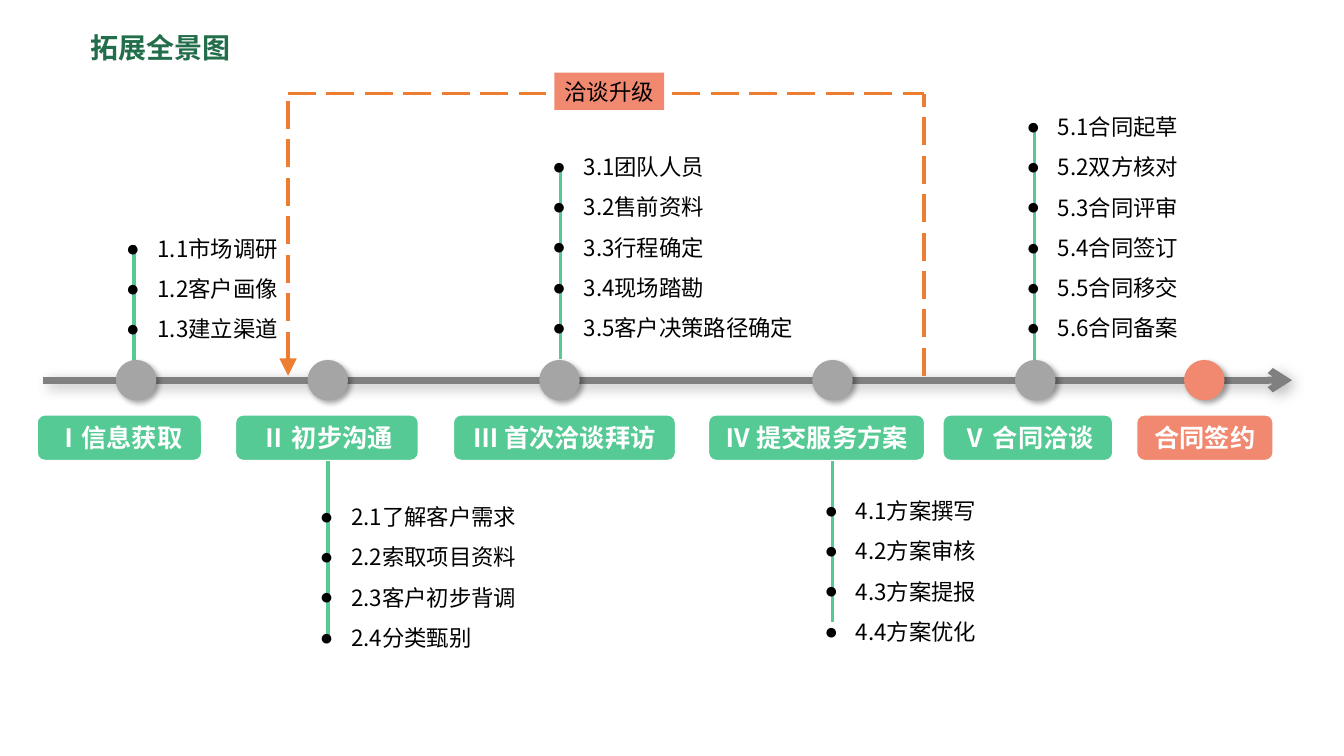
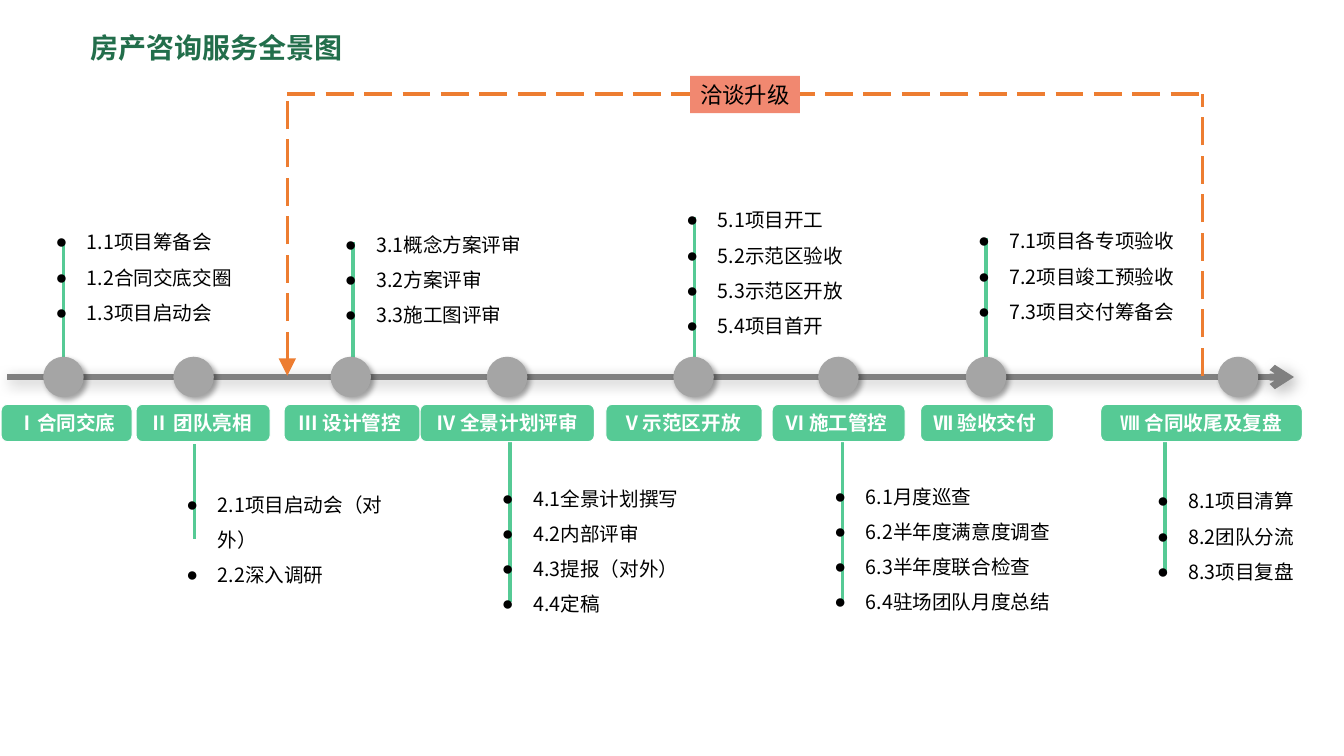
"""Build two process overview slides: a timeline with stages, step lists and an upgrade loop."""
import lxml.etree
import pptx
import pptx.dml.color
import pptx.enum.dml
import pptx.enum.shapes
import pptx.enum.text
import pptx.oxml.ns
import pptx.util

Cm = pptx.util.Cm
Pt = pptx.util.Pt
SHAPES = pptx.enum.shapes.MSO_SHAPE
ALIGN = pptx.enum.text.PP_ALIGN
ANCHOR = pptx.enum.text.MSO_ANCHOR

FONT = "Noto Sans CJK SC"
GREEN, DARK_GREEN, CORAL, ORANGE = "56CA95", "226E4B", "F18870", "ED7D31"
GREY, DARK_GREY, WHITE, BLACK = "A5A5A5", "808080", "FFFFFF", "000000"
NODE_SIZE = 1.02
LIST_OFFSET = 0.45
LIST_INDENT = 0.79
LINE_FACTOR = 0.064
BADGE_TEXT, BADGE_WIDTH, BADGE_HEIGHT = "洽谈升级", 2.77, 0.94

SLIDES = [
    {
        "title": "拓展全景图",
        "axis": (1.09, 32.56, 9.58),
        "stage_top": 10.46, "stage_height": 1.14, "stage_size": 18, "step_size": 16,
        "stages": [
            ("Ⅰ信息获取", 0.94, 4.14, 3.43, GREEN),
            ("Ⅱ 初步沟通", 5.94, 4.6, 8.26, GREEN),
            ("Ⅲ 首次洽谈拜访", 11.43, 5.59, 14.1, GREEN),
            ("Ⅳ 提交服务方案", 17.86, 5.44, 20.98, GREEN),
            ("Ⅴ 合同洽谈", 23.77, 4.27, 26.09, GREEN),
            ("合同签约", 28.65, 3.43, 30.35, CORAL),
        ],
        "steps": [
            (3.38, 6.17, 9.09, 5.46, 4.47, ["1.1市场调研", "1.2客户画像", "1.3建立渠道"]),
            (8.26, 11.58, 16.08, 12.22, 5.61,
             ["2.1了解客户需求", "2.2索取项目资料", "2.3客户初步背调", "2.4分类甄别"]),
            (14.12, 4.17, 9.04, 3.4, 6.83,
             ["3.1团队人员", "3.2售前资料", "3.3行程确定", "3.4现场踏勘", "3.5客户决策路径确定"]),
            (20.98, 11.58, 15.67, 12.07, 5.36,
             ["4.1方案撰写", "4.2方案审核", "4.3方案提报", "4.4方案优化"]),
            (26.07, 3.1, 9.09, 2.39, 5.46,
             ["5.1合同起草", "5.2双方核对", "5.3合同评审", "5.4合同签订", "5.5合同移交", "5.6合同备案"]),
        ],
        "loop": (7.26, 23.29, 2.36, 9.47),
        "badge": (13.97, 1.83),
    },
    {
        "title": "房产咨询服务全景图",
        "axis": (0.18, 32.61, 9.5),
        "stage_top": 10.19, "stage_height": 0.94, "stage_size": 14, "step_size": 14,
        "stages": [
            ("Ⅰ合同交底", 0.03, 3.3, 1.6, GREEN),
            ("Ⅱ 团队亮相 ", 3.43, 3.38, 4.88, GREEN),
            ("Ⅲ 设计管控 ", 7.16, 3.43, 8.84, GREEN),
            ("Ⅳ 全景计划评审", 10.59, 4.39, 12.78, GREEN),
            ("Ⅴ示范区开放 ", 15.27, 3.94, 17.48, GREEN),
            ("Ⅵ 施工管控 ", 19.46, 3.35, 21.13, GREEN),
            ("Ⅶ 验收交付 ", 23.2, 3.35, 24.85, GREEN),
            ("Ⅷ 合同收尾及复盘", 27.74, 5.08, 31.2, GREEN),
        ],
        "steps": [
            (1.6, 6.1, 9.02, 5.38, 5.16, ["1.1项目筹备会", "1.2合同交底交圈", "1.3项目启动会"]),
            (4.9, 11.2, 13.59, 11.99, 6.4, ["2.1项目启动会（对外）", "2.2深入调研"]),
            (8.89, 6.1, 9.04, 5.44, 6.83, ["3.1概念方案评审", "3.2方案评审", "3.3施工图评审"]),
            (12.85, 11.05, 15.16, 11.84, 6.4,
             ["4.1全景计划撰写", "4.2内部评审", "4.3提报（对外）", "4.4定稿"]),
            (17.5, 5.46, 9.02, 4.83, 5.46,
             ["5.1项目开工", "5.2示范区验收", "5.3示范区开放", "5.4项目首开"]),
            (21.23, 11.1, 15.19, 11.79, 6.3,
             ["6.1月度巡查", "6.2半年度满意度调查", "6.3半年度联合检查", "6.4驻场团队月度总结"]),
            (24.85, 5.99, 8.99, 5.36, 5.8,
             ["7.1项目各专项验收", "7.2项目竣工预验收", "7.3项目交付筹备会"]),
            (29.36, 11.15, 14.4, 11.91, 4.4, ["8.1项目清算", "8.2团队分流", "8.3项目复盘"]),
        ],
        "loop": (7.24, 30.3, 2.37, 9.47),
        "badge": (17.39, 1.91),
    },
]


def color(value):
    return pptx.dml.color.RGBColor.from_string(value)


def add_child(parent, tag, **attributes):
    child = lxml.etree.SubElement(parent, pptx.oxml.ns.qn(tag))
    for name, value in attributes.items():
        child.set(name, str(value))
    return child


def add_shadow(effects, opacity, blur):
    shadow = add_child(effects, "a:outerShdw", blurRad=Pt(blur), dist=Pt(3),
                       dir=45 * 60000, algn="tl", rotWithShape=0)
    shadow_color = add_child(shadow, "a:srgbClr", val=BLACK)
    add_child(shadow_color, "a:alpha", val=opacity * 1000)


def add_line(slide, start, end, line_color, width=2.5, dashed=False):
    connector = slide.shapes.add_connector(
        pptx.enum.shapes.MSO_CONNECTOR.STRAIGHT, *map(Cm, start + end))
    connector.line.color.rgb = color(line_color)
    connector.line.width = Pt(width)
    if dashed:
        connector.line.dash_style = pptx.enum.dml.MSO_LINE.LONG_DASH
    effects = add_child(connector._element.spPr, "a:effectLst")
    return connector.line._get_or_add_ln(), effects


def add_text(paragraph, text, size, text_color, bold=False):
    run = paragraph.add_run()
    run.text = text
    run.font.size = Pt(size)
    run.font.bold = bold
    run.font.color.rgb = color(text_color)
    run.font.name = FONT
    add_child(run._r.get_or_add_rPr(), "a:ea", typeface=FONT)


def add_box(slide, kind, box, fill, outline=None):
    shape = slide.shapes.add_shape(kind, *map(Cm, box))
    shape.shadow.inherit = False
    shape.fill.solid()
    shape.fill.fore_color.rgb = color(fill)
    if outline:
        shape.line.color.rgb = color(outline)
        shape.line.width = Pt(0.75)
    else:
        shape.line.fill.background()
    return shape


def add_label(slide, kind, box, fill, text, size, text_color, bold=False, outline=None):
    frame = add_box(slide, kind, box, fill, outline).text_frame
    frame.word_wrap = False
    frame.vertical_anchor = ANCHOR.MIDDLE
    frame.paragraphs[0].alignment = ALIGN.CENTER
    add_text(frame.paragraphs[0], text, size, text_color, bold)


def add_text_box(slide, box):
    frame = slide.shapes.add_textbox(*map(Cm, box)).text_frame
    frame.word_wrap = True
    return frame


def add_steps(slide, left, top, width, items, size):
    height = len(items) * size * LINE_FACTOR + 0.25
    frame = add_text_box(slide, (left, top, width, height))
    for index, item in enumerate(items):
        paragraph = frame.add_paragraph() if index else frame.paragraphs[0]
        paragraph.line_spacing = 1.5
        properties = paragraph._p.get_or_add_pPr()
        properties.set("marL", str(Cm(LIST_INDENT)))
        properties.set("indent", str(-Cm(LIST_INDENT)))
        add_child(properties, "a:buFont", typeface="Arial")
        add_child(properties, "a:buChar", char="●")
        add_text(paragraph, item, size, BLACK)


def add_timeline(slide, content):
    start, end, axis_y = content["axis"]
    for stem_x, stem_top, stem_bottom, *_ in content["steps"]:
        add_line(slide, (stem_x, stem_top), (stem_x, stem_bottom), GREEN)
    line, effects = add_line(slide, (start, axis_y), (end, axis_y), DARK_GREY, 5)
    add_child(line, "a:tailEnd", type="arrow")
    add_shadow(effects, 27, 9)
    for text, left, width, center, fill in content["stages"]:
        add_label(slide, SHAPES.ROUNDED_RECTANGLE,
                  (left, content["stage_top"], width, content["stage_height"]),
                  fill, text, content["stage_size"], WHITE, True, WHITE)
        node = add_box(slide, SHAPES.OVAL,
                       (center - NODE_SIZE / 2, axis_y - NODE_SIZE / 2, NODE_SIZE, NODE_SIZE),
                       GREY if fill == GREEN else fill)
        add_shadow(node._element.spPr.find(pptx.oxml.ns.qn("a:effectLst")), 35, 4)
    for stem_x, _, _, top, width, items in content["steps"]:
        add_steps(slide, stem_x - LIST_OFFSET, top, width, items, content["step_size"])


def add_loop(slide, content):
    left, right, top, bottom = content["loop"]
    add_line(slide, (right, bottom), (right, top), ORANGE, dashed=True)
    line, _ = add_line(slide, (left, bottom), (left, top), ORANGE, dashed=True)
    add_child(line, "a:headEnd", type="triangle", w="lg", len="lg")
    add_line(slide, (left, top), (right, top), ORANGE, dashed=True)
    add_label(slide, SHAPES.RECTANGLE, content["badge"] + (BADGE_WIDTH, BADGE_HEIGHT),
              CORAL, BADGE_TEXT, 16, BLACK)


def main():
    presentation = pptx.Presentation()
    presentation.slide_width, presentation.slide_height = Cm(33.87), Cm(19.05)
    for content in SLIDES:
        slide = presentation.slides.add_slide(presentation.slide_layouts[6])
        add_timeline(slide, content)
        title = add_text_box(slide, (2.03, 0.64, 7.95, 1.12))
        add_text(title.paragraphs[0], content["title"], 20, DARK_GREEN, True)
        add_loop(slide, content)
    presentation.save("out.pptx")


if __name__ == "__main__":
    main()
